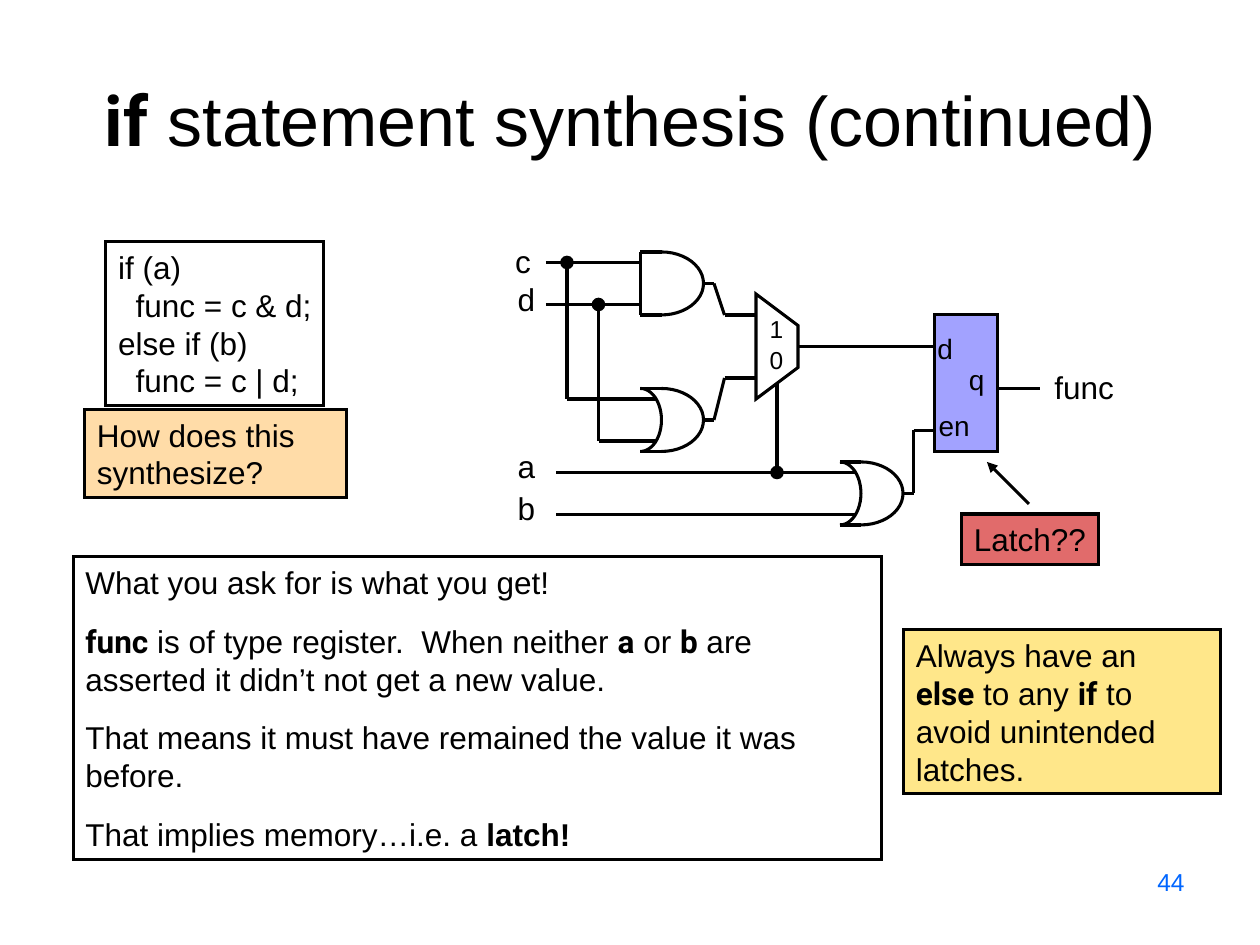
import math

from lxml import etree
from pptx import Presentation
from pptx.dml.color import RGBColor
from pptx.enum import shapes, text
from pptx.oxml import ns
from pptx.util import Inches, Pt

BLACK = RGBColor(0x00, 0x00, 0x00)
BLUE = RGBColor(0x00, 0x66, 0xFF)
VIOLET = RGBColor(0x69, 0x69, 0xFF)
ORANGE = RGBColor(0xFF, 0x99, 0x00)
RED = RGBColor(0xCC, 0x00, 0x00)
YELLOW = RGBColor(0xFF, 0xCC, 0x00)
LINE_WIDTH = Pt(1.75)
BODY_FONT = "Arial"
CODE_FONT = "Roboto"
PLAIN, CODE, STRONG = (BODY_FONT, False), (CODE_FONT, True), (BODY_FONT, True)
GRID = 1 / 12


def add_child(parent, tag, **attributes):
    return etree.SubElement(parent, ns.qn(tag), attributes)


def style_outline(shape):
    shape.line.color.rgb = BLACK
    shape.line.width = LINE_WIDTH
    add_child(shape.line._get_or_add_ln(), "a:miter", lim="800000")


def style_shape(shape, color=None, opacity=100):
    shape.shadow.inherit = False
    style_outline(shape)
    if color is None:
        shape.fill.background()
        return
    shape.fill.solid()
    shape.fill.fore_color.rgb = color
    if opacity < 100:
        color_element = shape.fill._xPr.find(ns.qn("a:solidFill"))[0]
        add_child(color_element, "a:alpha", val=str(opacity * 1000))


def write_text(shape, paragraphs, size=18, color=BLACK, align=text.PP_ALIGN.LEFT,
               anchor=text.MSO_ANCHOR.TOP, wrap=True, gap=0):
    frame = shape.text_frame
    frame.word_wrap = wrap
    frame.vertical_anchor = anchor
    for index, runs in enumerate(paragraphs):
        paragraph = frame.add_paragraph() if index else frame.paragraphs[0]
        paragraph.alignment = align
        if index and gap:
            paragraph.space_before = Pt(gap)
        for words, (font_name, bold) in runs:
            run = paragraph.add_run()
            run.text = words
            run.font.name = font_name
            run.font.bold = bold
            run.font.size = Pt(size)
            run.font.color.rgb = color


def add_text(slide, box, paragraphs, **options):
    shape = slide.shapes.add_textbox(*map(Inches, box))
    write_text(shape, paragraphs, **options)


def add_note(slide, box, paragraphs, color=None, opacity=100, **options):
    shape = slide.shapes.add_shape(shapes.MSO_SHAPE.RECTANGLE, *map(Inches, box))
    style_shape(shape, color, opacity)
    write_text(shape, paragraphs, **options)


class Circuit:
    def __init__(self, slide, left, top):
        self.slide, self.left, self.top = slide, left, top

    def point(self, x, y):
        return Inches(self.left + x * GRID), Inches(self.top + y * GRID)

    def wire(self, *points):
        wires = []
        for start, end in zip(points, points[1:]):
            connector = self.slide.shapes.add_connector(
                shapes.MSO_CONNECTOR.STRAIGHT, *self.point(*start), *self.point(*end))
            style_outline(connector)
            add_child(connector._element.spPr, "a:effectLst")
            wires.append(connector)
        return wires

    def arrow(self, start, end):
        connector, = self.wire(start, end)
        add_child(connector.line._get_or_add_ln(), "a:tailEnd", type="triangle")

    def outline(self, points, close):
        corners = [self.point(*point) for point in points]
        builder = self.slide.shapes.build_freeform(*corners[0], scale=1.0)
        builder.add_line_segments(corners[1:], close=close)
        style_shape(builder.convert_to_shape())

    def arc(self, x, y, width, height):
        angles = [math.pi * (step / 24 - 0.5) for step in range(25)]
        self.outline([(x + width * math.cos(angle), y + height / 2 * (1 + math.sin(angle)))
                      for angle in angles], close=False)

    def shape(self, kind, x, y, width, height, color, opacity=100):
        shape = self.slide.shapes.add_shape(
            kind, *self.point(x, y), Inches(width * GRID), Inches(height * GRID))
        style_shape(shape, color, opacity)

    def dot(self, x, y):
        self.shape(shapes.MSO_SHAPE.OVAL, x - 0.5, y - 0.5, 1, 1, BLACK)

    def gate(self, x, y, is_or):
        self.arc(x + 2, y, 4, 6)
        for edge in (y, y + 6):
            self.wire((x, edge), (x + 2, edge))
        if is_or:
            self.arc(x, y, 2, 6)
        else:
            self.wire((x, y), (x, y + 6))
        for pin in (y + 1, y + 5):
            self.wire((x - 1, pin), (x + 1.5 * is_or, pin))
        self.wire((x + 6, y + 3), (x + 7, y + 3))

    def label(self, words, x, y, width, height, size):
        add_text(self.slide, (self.left + x, self.top + y, width, height),
                 [[(words, PLAIN)]], size=size, wrap=False)


def draw_circuit(slide, left, top):
    circuit = Circuit(slide, left, top)
    circuit.shape(shapes.MSO_SHAPE.RECTANGLE, 41, 6, 6, 13, VIOLET, 62)
    circuit.gate(13, 0, is_or=False)
    circuit.gate(13, 13, is_or=True)
    circuit.gate(32, 20, is_or=True)
    circuit.outline([(24, 4), (28, 7), (28, 11), (24, 14)], close=True)
    for points in (
        [(4, 1), (12, 1)],
        [(4, 5), (12, 5)],
        [(6, 1), (6, 14), (12, 14)],
        [(9, 5), (9, 18), (12, 18)],
        [(20, 3), (21, 6), (24, 6)],
        [(20, 16), (21, 12), (24, 12)],
        [(28, 9), (41, 9)],
        [(26, 12.6), (26, 21)],
        [(5, 21), (31, 21)],
        [(5, 25), (31, 25)],
        [(39, 23), (39, 17), (41, 17)],
        [(47, 13), (51, 13)],
    ):
        circuit.wire(*points)
    for junction in ((26, 21), (9, 5), (6, 1)):
        circuit.dot(*junction)
    for label in (
        ("c", -0.01, -0.13, 0.32, 0.4, 18),
        ("d", 0.01, 0.17, 0.34, 0.4, 18),
        ("a", 0.01, 1.5, 0.34, 0.4, 18),
        ("b", 0.01, 1.83, 0.34, 0.4, 18),
        ("1", 2.01, 0.44, 0.31, 0.34, 14),
        ("0", 2.01, 0.69, 0.31, 0.34, 14),
        ("d", 3.34, 0.58, 0.32, 0.37, 16),
        ("q", 3.59, 0.83, 0.32, 0.37, 16),
        ("en", 3.35, 1.19, 0.48, 0.37, 16),
        ("func", 4.27, 0.87, 0.67, 0.4, 18),
    ):
        circuit.label(*label)
    add_note(slide, (left + 3.63, top + 2.08, 1.09, 0.4), [[("Latch??", PLAIN)]],
             RED, 58, wrap=False)
    circuit.arrow((50, 24), (46, 20))


def draw_title(slide, box):
    add_text(slide, box, [[("if", CODE), (" statement synthesis (continued)", PLAIN)]],
             size=40, align=text.PP_ALIGN.CENTER, anchor=text.MSO_ANCHOR.BOTTOM)


def draw_code(slide, left, top):
    code = ["if (a)", "  func = c & d;", "else if (b)", "  func = c | d;"]
    add_note(slide, (left + 0.17, top, 1.73, 1.3), [[(line, PLAIN)] for line in code],
             wrap=False)
    question = ["How does this", "synthesize?"]
    add_note(slide, (left, top + 1.33, 2.08, 0.7), [[(line, PLAIN)] for line in question],
             ORANGE, 34)


def draw_explanation(slide, box):
    add_note(slide, box, [
        [("What you ask for is what you get!", PLAIN)],
        [("func", CODE), (" is of type register.  When neither ", PLAIN), ("a", CODE),
         (" or ", PLAIN), ("b", CODE),
         (" are asserted it didn’t not get a new value.", PLAIN)],
        [("That means it must have remained the value it was before.", PLAIN)],
        [("That implies memory…i.e. a ", PLAIN), ("latch!", STRONG)],
    ], gap=12)


def draw_advice(slide, box):
    add_note(slide, box, [
        [("Always have an", PLAIN)],
        [("else", CODE), (" to any ", PLAIN), ("if", CODE), (" to avoid unintended", PLAIN)],
        [("latches.", PLAIN)],
    ], YELLOW, 46)


def main():
    presentation = Presentation()
    presentation.slide_width, presentation.slide_height = Inches(10), Inches(7.5)
    slide = presentation.slides.add_slide(presentation.slide_layouts[6])
    draw_title(slide, (0.5, 0.07, 9, 1.25))
    draw_code(slide, 0.67, 1.92)
    draw_circuit(slide, 4, 2)
    draw_explanation(slide, (0.58, 4.42, 6.42, 2.4))
    draw_advice(slide, (7.17, 5, 2.52, 1.3))
    add_text(slide, (7.17, 6.83, 2.33, 0.52), [[("44", PLAIN)]], size=14, color=BLUE,
             align=text.PP_ALIGN.RIGHT)
    presentation.save("out.pptx")


if __name__ == "__main__":
    main()
